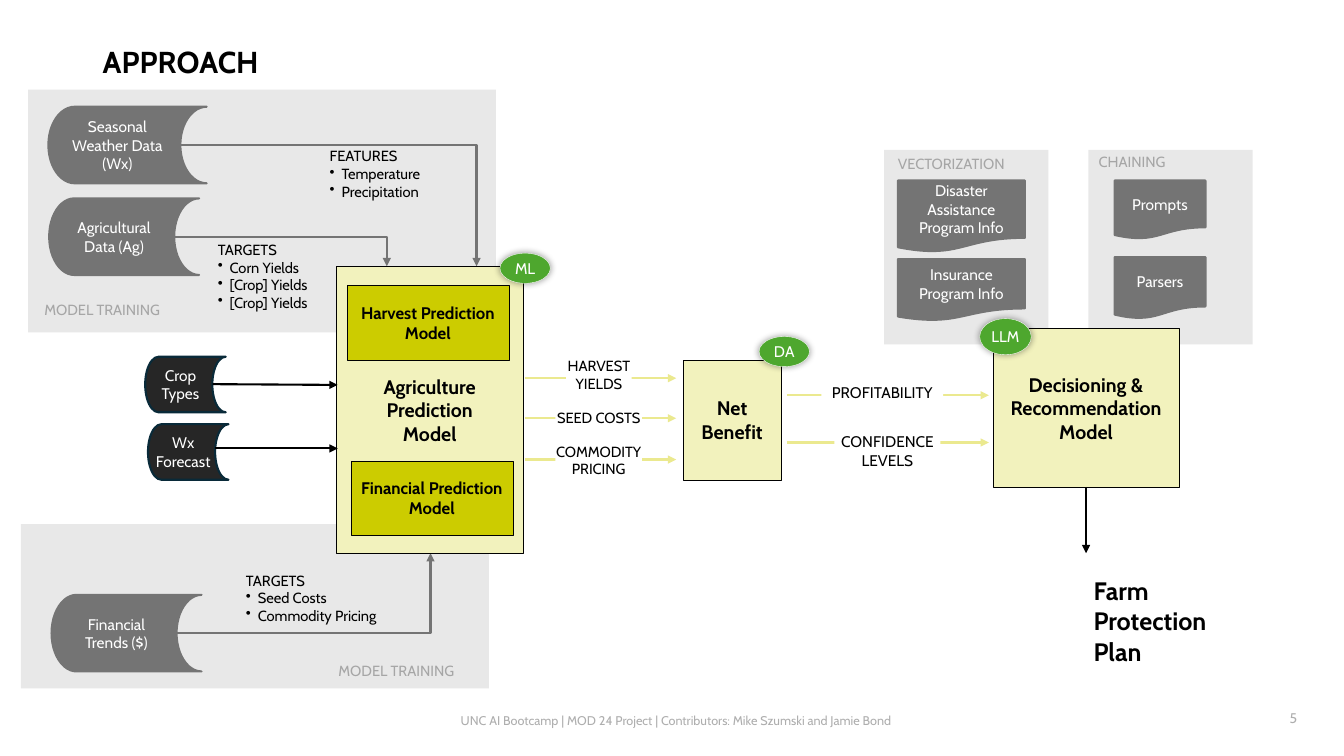
"""Build the APPROACH slide: a flow from training data through models to a farm protection plan."""
from lxml import etree
from pptx import Presentation
from pptx import util as u
from pptx.dml.color import RGBColor
from pptx.enum import shapes, text
from pptx.oxml import ns

BLACK = RGBColor(0x00, 0x00, 0x00)
WHITE = RGBColor(0xFF, 0xFF, 0xFF)
PANEL = RGBColor(0xE8, 0xE8, 0xE8)
GRAY = RGBColor(0x74, 0x74, 0x74)
CAPTION = RGBColor(0xA6, 0xA6, 0xA6)
FOOTER = RGBColor(0xAE, 0xAE, 0xAE)
CHARCOAL = RGBColor(0x26, 0x26, 0x26)
NAVY = RGBColor(0x09, 0x2A, 0x39)
CREAM = RGBColor(0xF2, 0xF2, 0xBD)
OLIVE = RGBColor(0xCC, 0xCC, 0x00)
STRAW = RGBColor(0xEB, 0xE9, 0x8F)
GREEN = RGBColor(0x4E, 0xA7, 0x2E)

FONT = "Cabin"
KIND = shapes.MSO_SHAPE
LEFT, CENTER, RIGHT = text.PP_ALIGN.LEFT, text.PP_ALIGN.CENTER, text.PP_ALIGN.RIGHT
TOP, MIDDLE = text.MSO_ANCHOR.TOP, text.MSO_ANCHOR.MIDDLE
FLUSH = (0, 0, 0, 0)
PADDED = (0.25, 0.13, 0.25, 0.13)

PANELS = [(0.53, 13.21, 11.79, 4.14), (0.71, 2.26, 11.79, 6.12),
          (27.43, 3.78, 4.14, 4.9), (22.28, 3.78, 4.14, 4.9)]
TRAINING_DATA = [
    ("Financial\nTrends ($)", (1.3, 14.99, 3.78, 1.93)),
    ("Agricultural\nData (Ag)", (1.24, 5, 3.78, 1.93)),
    ("Seasonal\nWeather Data\n(Wx)", (1.22, 2.69, 3.99, 1.93)),
]
INPUT_DATA = [
    ("Crop\nTypes", (3.66, 8.99, 2.03, 1.4)),
    ("Wx\nForecast", (3.73, 10.69, 2.03, 1.4)),
]
DOCUMENTS = [
    ("Prompts", (28.09, 4.55, 2.29, 1.47)),
    ("Parsers", (28.09, 6.48, 2.29, 1.55)),
    ("Disaster\nAssistance\nProgram Info", (22.63, 4.55, 3.2, 1.8)),
    ("Insurance\nProgram Info", (22.63, 6.53, 3.2, 1.55)),
]
TRAINING_PATHS = [(4.45, 15.95, 10.85, 13.94), (4.52, 3.66, 12.01, 6.71),
                  (4.39, 5.97, 9.75, 6.71)]
STAGES = [
    ("Agriculture\nPrediction\nModel", (8.48, 6.71, 4.7, 7.24)),
    ("Net Benefit", (17.22, 9.07, 2.46, 3.02)),
    ("Decisioning & Recommendation Model", (25.02, 8.28, 4.7, 3.99)),
]
SUBMODELS = [
    ("Harvest Prediction\nModel", (8.74, 7.19, 4.09, 1.88)),
    ("Financial Prediction\nModel", (8.84, 11.63, 4.09, 1.85)),
]
INPUT_ARROWS = [(5.36, 9.68, 8.51, 9.7), (5.41, 11.3, 8.51, 11.3)]
FLOWS = [(13.23, 17.04, (9.53, 10.54, 11.58)), (19.84, 24.92, (9.96, 11.15))]
PLAN_ARROW = (27.37, 12.27, 27.37, 13.94)
FLOW_LABELS = [
    ("HARVEST\nYIELDS", (14.27, 8.99, 1.65, 0.89), 10.5),
    ("SEED COSTS", (14, 10.29, 2.18, 0.46), 10.5),
    ("COMMODITY PRICING", (14, 11.15, 2.18, 0.89), 10.5),
    ("CONFIDENCE LEVELS", (21.03, 10.9, 2.67, 0.94), 11),
    ("PROFITABILITY", (20.7, 9.65, 3.07, 0.48), 11),
]
BADGES = [("ML", (12.6, 6.38, 1.27, 0.76)), ("DA", (19.13, 8.48, 1.27, 0.76)),
          ("LLM", (24.69, 8.03, 1.3, 0.91))]
CAPTIONS = [
    ("MODEL TRAINING", (8.53, 16.69, 3.23, 0.46)),
    ("MODEL TRAINING", (1.12, 7.59, 3.23, 0.46)),
    ("CHAINING", (27.69, 3.86, 2.95, 0.46)),
    ("VECTORIZATION", (22.63, 3.91, 3.2, 0.46)),
]
LISTS = [
    ("TARGETS\nSeed Costs\nCommodity Pricing", (6.2, 14.4, 3.53, 1.35)),
    ("FEATURES\nTemperature\nPrecipitation", (8.31, 3.71, 3.23, 1.35)),
    ("TARGETS\nCorn Yields\n[Crop] Yields\n[Crop] Yields", (5.49, 6.07, 3.53, 1.8)),
]

deck = Presentation()
deck.slide_width, deck.slide_height = u.Cm(33.87), u.Cm(19.05)
page = deck.slides.add_slide(deck.slide_layouts[6])


def lengths(values):
    return [u.Cm(value) for value in values]


def write(box, words, size=11, color=BLACK, bold=False, align=CENTER, anchor=MIDDLE,
          insets=FLUSH, wrap=True, bullets=False, spacing=None):
    frame = box.text_frame
    frame.word_wrap = wrap
    frame.vertical_anchor = anchor
    (frame.margin_left, frame.margin_top,
     frame.margin_right, frame.margin_bottom) = lengths(insets)
    for index, line in enumerate(words.split("\n")):
        para = frame.paragraphs[0] if index == 0 else frame.add_paragraph()
        para.alignment = align
        if spacing:
            para.line_spacing = spacing
        if bullets and index:
            props = para._p.get_or_add_pPr()
            props.set("marL", str(u.Cm(0.3)))
            props.set("indent", str(-u.Cm(0.3)))
            etree.SubElement(props, ns.qn("a:buChar"), char="•")
        span = para.add_run()
        span.text = line
        span.font.name, span.font.size, span.font.bold = FONT, u.Pt(size), bold
        span.font.color.rgb = color


def add_box(kind, place, fill, line=None, width=1.5):
    box = page.shapes.add_shape(kind, *lengths(place))
    box.shadow.inherit = False
    box.fill.solid()
    box.fill.fore_color.rgb = fill
    if line is None:
        box.line.fill.background()
    else:
        box.line.color.rgb = line
        box.line.width = u.Pt(width)
    return box


def add_label(words, place, **style):
    write(page.shapes.add_textbox(*lengths(place)), words, **style)


def add_arrow(ends, color, width, bent=False):
    kind = shapes.MSO_CONNECTOR.ELBOW if bent else shapes.MSO_CONNECTOR.STRAIGHT
    arrow = page.shapes.add_connector(kind, *lengths(ends))
    arrow.line.color.rgb = color
    arrow.line.width = u.Pt(width)
    props = arrow._element.spPr
    etree.SubElement(props.find(ns.qn("a:ln")), ns.qn("a:tailEnd"), type="triangle")
    etree.SubElement(props, ns.qn("a:effectLst"))
    if bent:
        props.find(ns.qn("a:prstGeom")).set("prst", "bentConnector2")
    return arrow


def add_glow(box):
    effects = box._element.spPr.find(ns.qn("a:effectLst"))
    shadow = etree.SubElement(effects, ns.qn("a:outerShdw"), blurRad=str(u.Pt(5)),
                              dist="0", dir="0", algn="ctr", rotWithShape="0")
    tint = etree.SubElement(shadow, ns.qn("a:srgbClr"), val=str(BLACK))
    etree.SubElement(tint, ns.qn("a:alpha"), val="40000")


for place in PANELS:
    add_box(KIND.RECTANGLE, place, PANEL)
for words, place in TRAINING_DATA:
    write(add_box(KIND.FLOWCHART_STORED_DATA, place, GRAY, GRAY), words,
          color=WHITE, insets=(0, 0, 0.51, 0), wrap=False)
for words, place in INPUT_DATA:
    write(add_box(KIND.FLOWCHART_STORED_DATA, place, CHARCOAL, NAVY), words,
          color=WHITE, insets=(0, 0.13, 0.25, 0.13), wrap=False)
for words, place in DOCUMENTS:
    write(add_box(KIND.FLOWCHART_DOCUMENT, place, GRAY, GRAY), words,
          color=WHITE, wrap=False)
for ends in TRAINING_PATHS:
    add_arrow(ends, GRAY, 1.5, bent=True)

stage_boxes = []
for words, place in STAGES:
    stage = add_box(KIND.FLOWCHART_PROCESS, place, CREAM, BLACK, 0.25)
    write(stage, words, size=14, bold=True, insets=PADDED)
    stage_boxes.append(stage)
for words, place in SUBMODELS:
    write(add_box(KIND.FLOWCHART_PROCESS, place, OLIVE, BLACK, 0.25), words,
          size=12, bold=True, insets=(0.1, 0.13, 0.1, 0.13))

for ends in INPUT_ARROWS:
    add_arrow(ends, BLACK, 1.5)
for start, end, rows in FLOWS:
    for row in rows:
        add_arrow((start, row, end, row), STRAW, 1.75)
add_arrow(PLAN_ARROW, BLACK, 1.75).begin_connect(stage_boxes[-1], 2)

for words, place, size in FLOW_LABELS:
    write(add_box(KIND.RECTANGLE, place, WHITE), words, size=size, anchor=TOP)
for words, place in BADGES:
    badge = add_box(KIND.OVAL, place, GREEN, WHITE, 0.25)
    add_glow(badge)
    write(badge, words, color=WHITE, wrap=False)
for words, place in CAPTIONS:
    add_label(words, place, size=10.5, color=CAPTION, align=LEFT, anchor=TOP)
for words, place in LISTS:
    add_label(words, place, size=10.5, align=LEFT, anchor=TOP, bullets=True)

add_label("APPROACH", (2.34, 1.02, 29.21, 1.17), size=21.6, bold=True, align=LEFT,
          insets=PADDED, spacing=0.9)
add_label("Farm Protection Plan", (27.56, 14.5, 3.96, 2.31), size=18, bold=True,
          align=LEFT, anchor=TOP)
add_label("UNC AI Bootcamp | MOD 24 Project | Contributors: Mike Szumski and Jamie Bond",
          (10.21, 17.65, 13.64, 1.02), size=9, color=FOOTER, insets=PADDED)
add_label("5", (25.32, 17.58, 7.62, 1.02), size=10, color=FOOTER, align=RIGHT,
          insets=PADDED)

deck.save("out.pptx")
